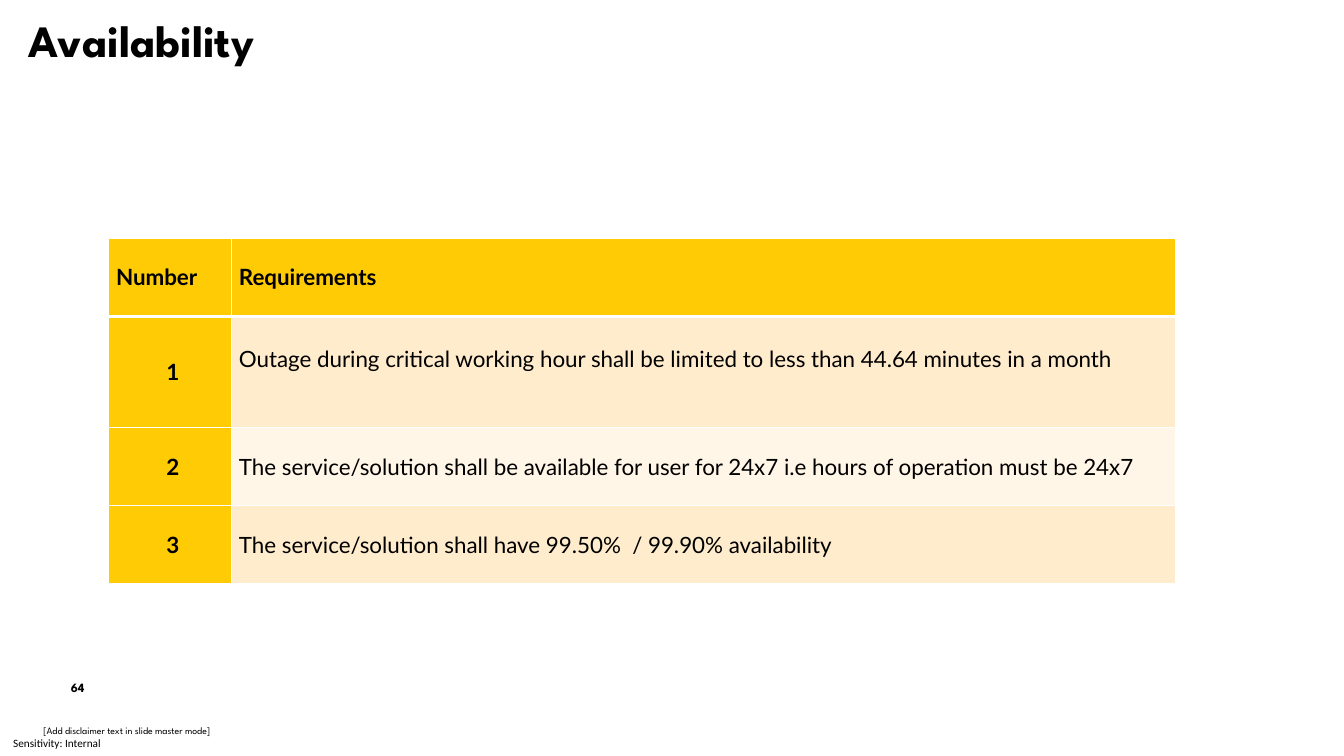
from lxml.etree import SubElement
from pptx import Presentation
from pptx.dml.color import RGBColor
from pptx.enum.shapes import MSO_SHAPE
from pptx.enum.text import MSO_ANCHOR, PP_ALIGN
from pptx.oxml.ns import qn
from pptx.util import Pt

COLORS = {"text": "000000", "paper": "FFFFFF", "accent": "FFCB05",
          "odd": "FFECCC", "even": "FFF6E7"}
REQUIREMENTS = [
    "Outage during critical working hour shall be limited to less than 44.64 minutes in a month",
    "The service/solution shall be available for user for 24x7 i.e hours of operation must be 24x7",
    "The service/solution shall have 99.50%\u00a0 / 99.90% availability".replace("\u00a0", " "),
]


class SlideBuilder:
    """Holds the style and the current slide."""

    heading_font = "League Spartan"
    body_font = "Lato"
    small_font = "Calibri"

    def __init__(self, deck):
        self.page = deck.slides.add_slide(deck.slide_layouts[5])

    def color(self, name):
        return RGBColor.from_string(COLORS[name])

    def set_text(self, frame, text, font, size, bold=False, align=PP_ALIGN.LEFT):
        frame.text = text
        para = frame.paragraphs[0]
        para.alignment = align
        para.font.name = font
        para.font.size = Pt(size)
        para.font.bold = bold
        para.font.color.rgb = self.color("text")

    def place(self, shape, left, top, width, height):
        shape.left, shape.top = Pt(left), Pt(top)
        shape.width, shape.height = Pt(width), Pt(height)

    def inset(self, frame, left=0, top=0, right=0, bottom=0):
        frame.margin_left, frame.margin_top = Pt(left), Pt(top)
        frame.margin_right, frame.margin_bottom = Pt(right), Pt(bottom)
        frame.vertical_anchor = MSO_ANCHOR.MIDDLE

    def title(self, text, area):
        title = self.page.shapes.title
        self.place(title, *area)
        frame = title.text_frame
        self.inset(frame, 7.2, 3.6, 7.2, 3.6)
        frame.vertical_anchor = MSO_ANCHOR.TOP
        frame.word_wrap = False
        self.set_text(frame, text, self.heading_font, 32, True)

    def note(self, text, area, font, size, left=0):
        box = self.page.shapes.add_textbox(*map(Pt, area))
        box.text_frame.word_wrap = True
        self.inset(box.text_frame, left)
        self.set_text(box.text_frame, text, font, size)

    def page_number(self, text, area):
        badge = self.page.shapes.add_shape(MSO_SHAPE.OVAL, *map(Pt, area))
        badge.shadow.inherit = False
        badge.fill.solid()
        badge.fill.fore_color.rgb = self.color("paper")
        badge.line.fill.background()
        self.inset(badge.text_frame)
        self.set_text(badge.text_frame, text, self.heading_font, 9, True, PP_ALIGN.CENTER)

    def cell(self, cell, text, fill, bold, left=5.4, bottom=3.6, widths=(1, 1, 1, 1)):
        self.inset(cell, left, 3.6, 5.4, bottom)
        for side, width in zip("LRTB", widths):
            border = SubElement(cell._tc.get_or_add_tcPr(), qn(f"a:ln{side}"), w=str(Pt(width)))
            paint = SubElement(border, qn("a:solidFill"))
            SubElement(paint, qn("a:srgbClr"), val=COLORS["paper"])
        cell.fill.solid()
        cell.fill.fore_color.rgb = self.color(fill)
        self.set_text(cell.text_frame, text, self.body_font, 16, bold)

    def requirements_table(self, area, widths, heights):
        frame = self.page.shapes.add_table(len(heights), len(widths), *map(Pt, area))
        table = frame.table
        for column, width in zip(table.columns, widths):
            column.width = Pt(width)
        for row, height in zip(table.rows, heights):
            row.height = Pt(height)
        for index, heading in enumerate(("Number", "Requirements")):
            self.cell(table.cell(0, index), heading, "accent", True, widths=(1, 1, 1, 3))
        for number, text in enumerate(REQUIREMENTS, 1):
            first = number == 1
            borders = (1, 1, 3 if first else 1, 1)
            self.cell(table.cell(number, 0), str(number), "accent", True, 41.4, widths=borders)
            self.cell(table.cell(number, 1), text, "odd" if number % 2 else "even", False,
                      bottom=23 if first else 3.6, widths=borders)


def main():
    deck = Presentation()
    deck.slide_width, deck.slide_height = Pt(960), Pt(540)
    slide = SlideBuilder(deck)
    slide.page_number("64", (31, 481.7, 49, 19.4))
    slide.note("[Add disclaimer text in slide master mode]", (31, 509.8, 534, 24.5),
               slide.heading_font, 7)
    slide.note("Sensitivity: Internal", (0, 522, 82, 18), slide.small_font, 8, 9.4)
    slide.title("Availability", (13.5, 5.8, 187, 46))
    slide.requirements_table((77.5, 170, 762.5, 247), (87.8, 674.7), (56, 79.5, 55.8, 55.7))
    deck.save("out.pptx")


if __name__ == "__main__":
    main()
